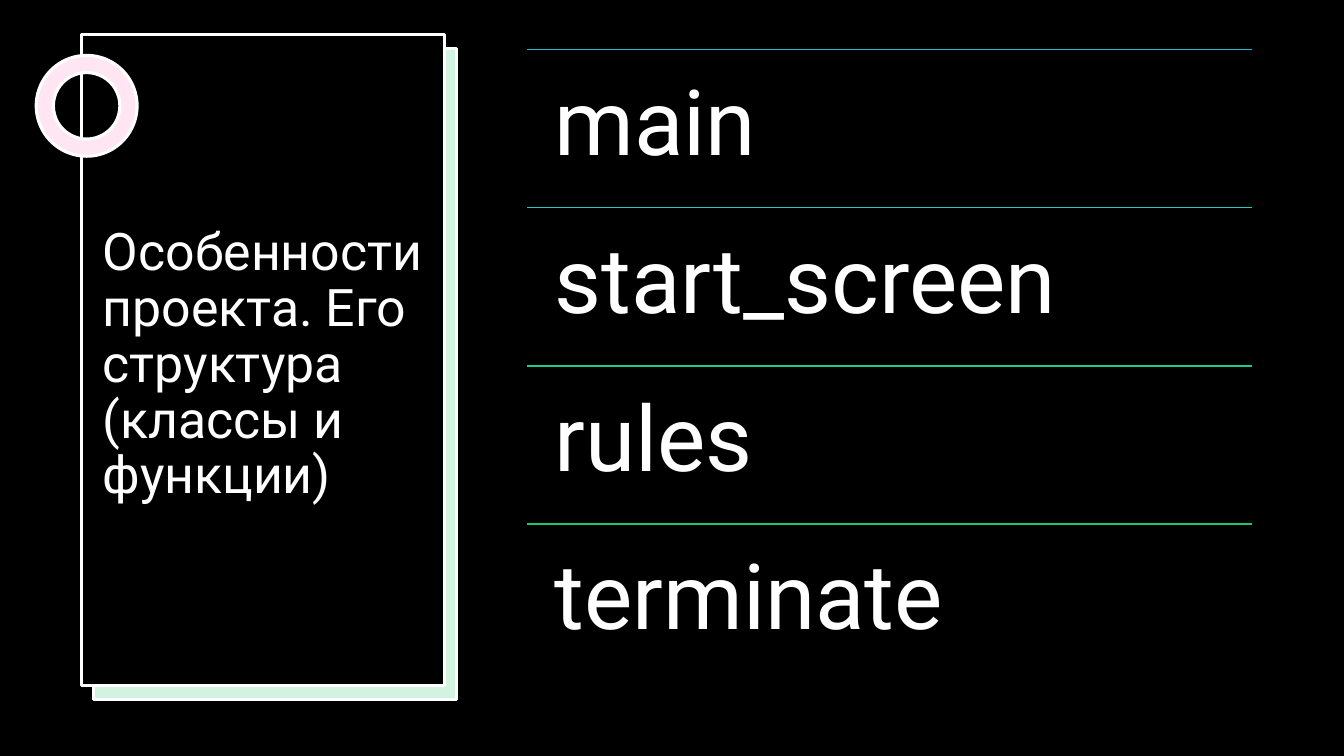
"""Build a slide with a framed title and a ruled list of functions."""
from pptx import Presentation
from pptx.dml.color import RGBColor as RGB
from pptx.enum.shapes import MSO_CONNECTOR as LINK, MSO_SHAPE as FORM
from pptx.enum.text import MSO_ANCHOR as ANCHOR, MSO_AUTO_SIZE as FIT, PP_ALIGN as ALIGN
from pptx.oxml.ns import qn
from pptx.util import Inches, Pt
from lxml.etree import SubElement

TITLE = "Особенности проекта. Его структура (классы и функции)"
ITEMS = [("main", "1EB9D3"), ("start_screen", "1FCEBF"),
         ("rules", "20C994"), ("terminate", "21C46B")]
THEME = {"font": "Roboto", "back": "000000", "text": "FFFFFF",
         "mint": "D3F3E1", "pink": "FFE6F2", "title": 37, "item": 65}
SHAPES = [(FORM.RECTANGLE, (0.93, 0.48, 3.6, 6.46), "mint"),
          (FORM.RECTANGLE, (0.81, 0.34, 3.6, 6.46), "back"),
          (FORM.DONUT, (0.36, 0.55, 1, 1), "pink")]
LEFT, TOP, WIDTH, STEP = 5.23, 0.49, 7.19, 1.57


def color(key):
    return RGB.from_string(THEME[key])


def box(*sizes):
    return [Inches(size) for size in sizes]


def write(frame, text, size, anchor, inset):
    pad_x, pad_y = box(*inset)
    form = {"word_wrap": True, "auto_size": FIT.NONE, "vertical_anchor": anchor,
            "margin_left": pad_x, "margin_right": pad_x,
            "margin_top": pad_y, "margin_bottom": pad_y}
    for name, value in form.items():
        setattr(frame, name, value)
    frame.text = text
    para = frame.paragraphs[0]
    para.alignment, para.line_spacing = ALIGN.LEFT, 0.9
    font = para.runs[0].font
    font.name, font.size = THEME["font"], Pt(THEME[size])
    font.color.rgb = color("text")


deck = Presentation()
deck.slide_width, deck.slide_height = box(13.33, 7.5)
slide = deck.slides.add_slide(deck.slide_layouts[5])
slide.background.fill.solid()
slide.background.fill.fore_color.rgb = color("back")
shapes = slide.shapes

for form, place, fill in SHAPES:
    shape = shapes.add_shape(form, *box(*place))
    shape.shadow.inherit = False
    shape.fill.solid()
    shape.fill.fore_color.rgb = color(fill)
    shape.line.color.rgb = color("text")
    shape.line.width = Pt(2.25)
    if form == FORM.DONUT:
        shape.adjustments[0] = 0.17

title = shapes.title
title.left, title.top, title.width, title.height = box(0.92, 1.31, 3.4, 4.63)
write(title.text_frame, TITLE, "title", ANCHOR.MIDDLE, (0.1, 0.05))
shapes.element.append(title.element)

for row, (name, tint) in enumerate(ITEMS):
    top = TOP + row * STEP
    rule = shapes.add_connector(LINK.STRAIGHT, *box(LEFT, top, LEFT + WIDTH, top))
    rule.line.color.rgb = RGB.from_string(tint)
    rule.line.width = Pt(1)
    SubElement(rule.element.spPr, qn("a:effectLst"))
    item = shapes.add_textbox(*box(LEFT, top, WIDTH, STEP))
    write(item.text_frame, name, "item", ANCHOR.TOP, (0.27, 0.27))

deck.save("out.pptx")
